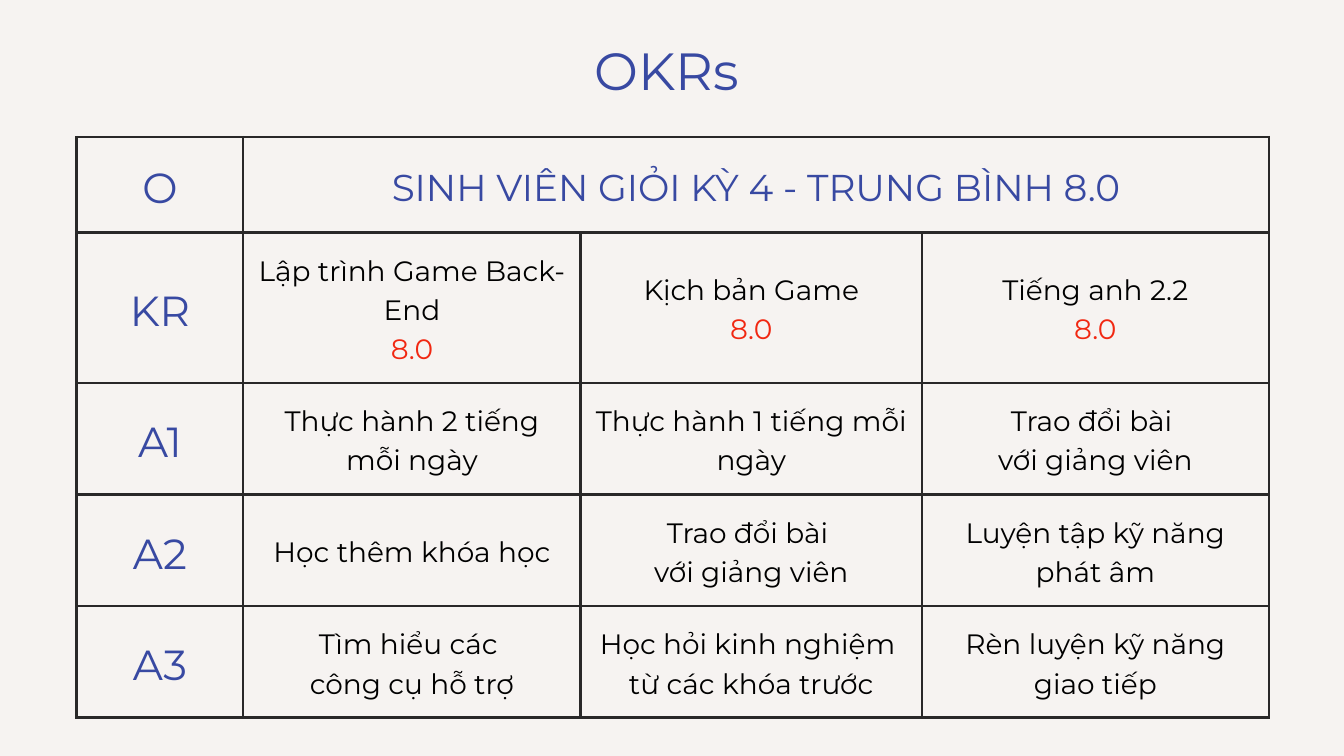
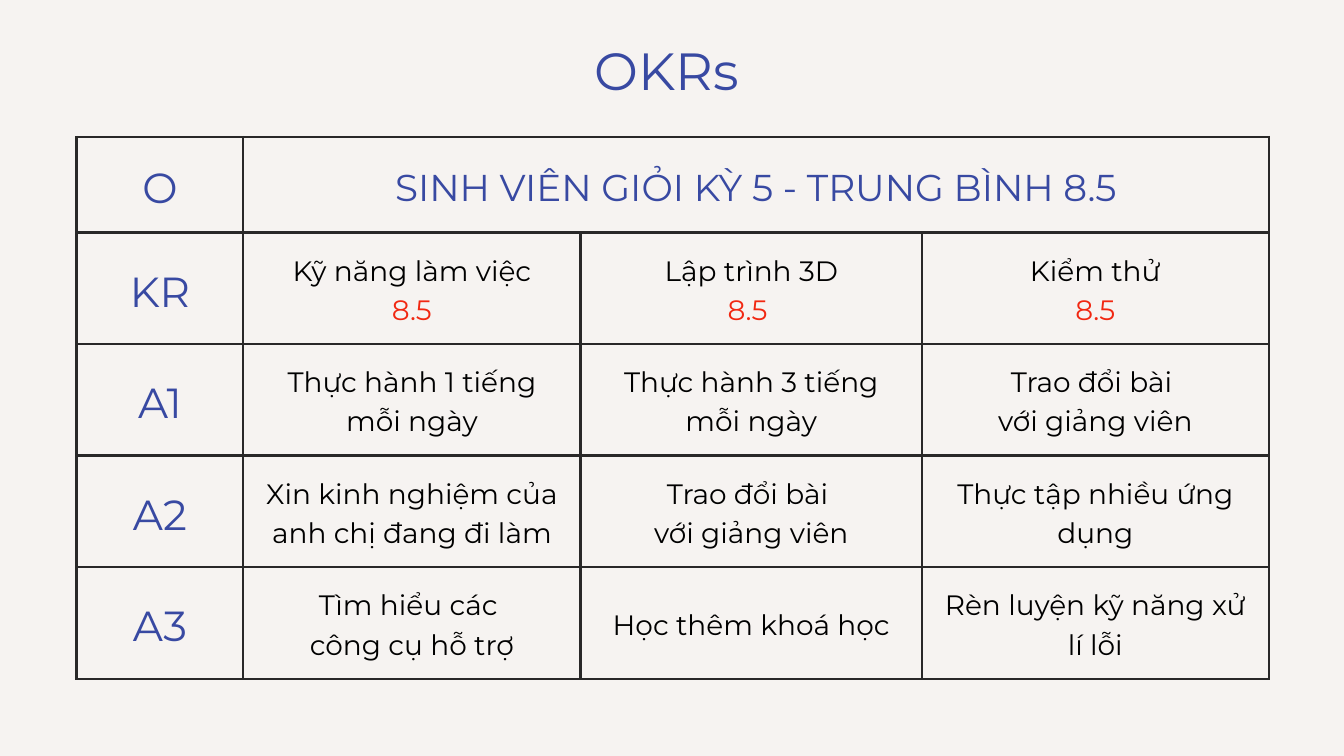
import pptx
import pptx.dml.color
import pptx.enum.text
import pptx.util
import lxml.etree
import pptx.oxml.ns

SLIDE_WIDTH, SLIDE_HEIGHT = 20, 11.25
COLOURS = {
    "background": "F6F3F1",
    "accent": "3849A2",
    "body": "000000",
    "score": "F12711",
    "border": "292828",
}
FONT = "Montserrat"
SIZES = {"title": 56, "label": 45, "objective": 40, "body": 30}
LINE_FACTOR = 1.4
CELL_MARGIN = 0.2
BORDER_POINTS = 2.84

# Boxes as left, top, width, in inches
TITLE_BOX = (8.81, 0.41, 2.22, 1.04)
TABLE_LEFT, TABLE_TOP = 1.14, 2.04
COLUMN_WIDTHS = (2.48, 5.02, 5.08, 5.16)
OBJECTIVE_HEIGHT, ROW_HEIGHT, TALL_ROW_HEIGHT = 1.42, 1.66, 2.24
ROW_LABELS = ("O", "KR", "A1", "A2", "A3")

TEACHER = "Trao đổi bài \nvới giảng viên"
TOOLS = "Tìm hiểu các \ncông cụ hỗ trợ"

SEMESTERS = [
    {
        "objective": "SINH VIÊN GIỎI KỲ 4 - TRUNG BÌNH 8.0",
        "key_result_height": TALL_ROW_HEIGHT,
        "rows": [
            ("Lập trình Game Back-End\n8.0", "Kịch bản Game\n8.0", "Tiếng anh 2.2\n8.0"),
            ("Thực hành 2 tiếng mỗi ngày", "Thực hành 1 tiếng mỗi ngày", TEACHER),
            ("Học thêm khóa học", TEACHER, "Luyện tập kỹ năng phát âm"),
            (TOOLS, "Học hỏi kinh nghiệm \ntừ các khóa trước",
             "Rèn luyện kỹ năng giao tiếp"),
        ],
    },
    {
        "objective": "SINH VIÊN GIỎI KỲ 5 - TRUNG BÌNH 8.5",
        "key_result_height": ROW_HEIGHT,
        "rows": [
            ("Kỹ năng làm việc\n8.5", "Lập trình 3D\n8.5 ", "Kiểm thử\n8.5"),
            ("Thực hành 1 tiếng mỗi ngày", "Thực hành 3 tiếng mỗi ngày", TEACHER),
            ("Xin kinh nghiệm của anh chị đang đi làm", TEACHER,
             "Thực tập nhiều ứng dụng"),
            (TOOLS, "Học thêm khoá học", "Rèn luyện kỹ năng xử lí lỗi"),
        ],
    },
]


def colour(name):
    return pptx.dml.color.RGBColor.from_string(COLOURS[name])


def write_text(text_frame, text, role, colour_name):
    """Set centred text in the size and line spacing of its role."""
    text_frame.text = text
    for paragraph in text_frame.paragraphs:
        paragraph.alignment = pptx.enum.text.PP_ALIGN.CENTER
        paragraph.line_spacing = pptx.util.Pt(SIZES[role] * LINE_FACTOR)
        for run in paragraph.runs:
            run.font.name = FONT
            run.font.size = pptx.util.Pt(SIZES[role])
            run.font.color.rgb = colour(colour_name)


def style_cell(cell):
    """Give a cell its margins, clear fill and four borders."""
    margin = pptx.util.Inches(CELL_MARGIN)
    cell.margin_left = cell.margin_right = margin
    cell.margin_top = cell.margin_bottom = margin
    cell.vertical_anchor = pptx.enum.text.MSO_ANCHOR.MIDDLE
    cell.fill.background()
    qualified = pptx.oxml.ns.qn
    properties = cell._tc.get_or_add_tcPr()
    for index, side in enumerate(("lnL", "lnR", "lnT", "lnB")):
        line = lxml.etree.Element(qualified(f"a:{side}"))
        line.set("w", str(pptx.util.Pt(BORDER_POINTS)))
        fill = lxml.etree.SubElement(line, qualified("a:solidFill"))
        lxml.etree.SubElement(fill, qualified("a:srgbClr")).set("val", COLOURS["border"])
        properties.insert(index, line)


def add_title(slide, box):
    shape = slide.shapes.add_textbox(*(pptx.util.Inches(length) for length in box))
    text_frame = shape.text_frame
    text_frame.word_wrap = False
    text_frame.margin_left = text_frame.margin_right = 0
    text_frame.margin_top = text_frame.margin_bottom = 0
    write_text(text_frame, "OKRs", "title", "accent")


def add_okr_table(slide, semester, left, top):
    heights = [OBJECTIVE_HEIGHT, semester["key_result_height"]] + [ROW_HEIGHT] * 3
    box = (left, top, sum(COLUMN_WIDTHS), sum(heights))
    table = slide.shapes.add_table(
        len(heights), len(COLUMN_WIDTHS),
        *(pptx.util.Inches(length) for length in box)).table
    table.first_row = table.horz_banding = False
    for column, width in zip(table.columns, COLUMN_WIDTHS):
        column.width = pptx.util.Inches(width)
    for row, height in zip(table.rows, heights):
        row.height = pptx.util.Inches(height)
    for cell in table.iter_cells():
        style_cell(cell)

    # Row labels and the objective across the top
    for row_index, label in enumerate(ROW_LABELS):
        write_text(table.cell(row_index, 0).text_frame, label, "label", "accent")
    objective = table.cell(0, 1)
    objective.merge(table.cell(0, len(COLUMN_WIDTHS) - 1))
    write_text(objective.text_frame, semester["objective"], "objective", "accent")

    # Key results and actions
    for row_index, texts in enumerate(semester["rows"], start=1):
        for column_index, text in enumerate(texts, start=1):
            text_frame = table.cell(row_index, column_index).text_frame
            write_text(text_frame, text, "body", "body")
            if ROW_LABELS[row_index] == "KR":
                text_frame.paragraphs[-1].runs[0].font.color.rgb = colour("score")


def add_okr_slide(presentation, semester):
    slide = presentation.slides.add_slide(presentation.slide_layouts[6])
    slide.background.fill.solid()
    slide.background.fill.fore_color.rgb = colour("background")
    add_okr_table(slide, semester, TABLE_LEFT, TABLE_TOP)
    add_title(slide, TITLE_BOX)


def main():
    presentation = pptx.Presentation()
    presentation.slide_width = pptx.util.Inches(SLIDE_WIDTH)
    presentation.slide_height = pptx.util.Inches(SLIDE_HEIGHT)
    for semester in SEMESTERS:
        add_okr_slide(presentation, semester)
    presentation.save("out.pptx")


if __name__ == "__main__":
    main()
